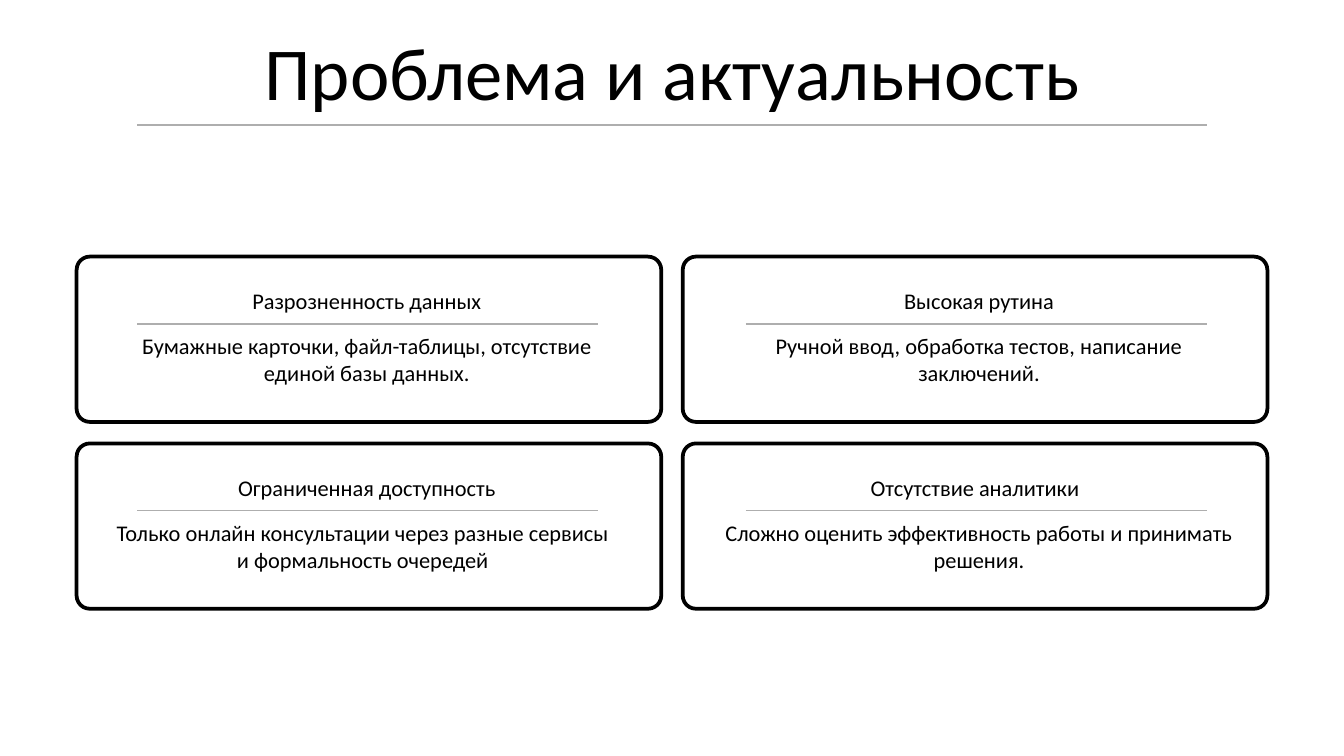
from pptx import Presentation
from pptx.dml.color import RGBColor
from pptx.enum.shapes import MSO_CONNECTOR, MSO_SHAPE
from pptx.enum.text import MSO_ANCHOR, PP_ALIGN
from pptx.oxml.ns import qn
from pptx.util import Inches, Pt
from lxml import etree

FONT = "Calibri"
BLACK, WHITE, GREY = "000000", "FFFFFF", "AEAEAE"
SLIDE_WIDTH = 10

# Card grid
LEFT, TOP = 0.57, 1.91
CARD_WIDTH, CARD_HEIGHT = 4.35, 1.23
COLUMN_STEP, ROW_STEP = 4.51, 1.39
TEXT_INSET = 0.25
RULE_LEFTS, RULE_WIDTH = (1.02, 5.55), 3.43

# Row, column, heading, heading width, body, body width
CARDS = [
    (0, 0, "Разрозненность данных", 3.82,
     "Бумажные карточки, файл-таблицы, отсутствие единой базы данных.", 3.82),
    (1, 0, "Ограниченная доступность", 3.82,
     "Только онлайн консультации через разные сервисы и формальность очередей", 3.76),
    (0, 1, "Высокая рутина", 3.91,
     "Ручной ввод, обработка тестов, написание заключений.", 3.91),
    (1, 1, "Отсутствие аналитики", 3.85,
     "Сложно оценить эффективность работы и принимать решения.", 3.91),
]


def color(value):
    return RGBColor.from_string(value)


def write_text(shape, text, size=12, spacing=1.0, anchor=MSO_ANCHOR.MIDDLE,
               margins=(0, 0)):
    frame = shape.text_frame
    frame.word_wrap = True
    frame.vertical_anchor = anchor
    frame.margin_left = frame.margin_right = Inches(margins[0])
    frame.margin_top = frame.margin_bottom = Inches(margins[1])
    paragraph = frame.paragraphs[0]
    paragraph.alignment = PP_ALIGN.CENTER
    paragraph.line_spacing = spacing
    run = paragraph.add_run()
    run.text = text
    run.font.name = FONT
    run.font.size = Pt(size)
    run.font.color.rgb = color(BLACK)


def add_text(slide, left, top, width, height, text, **text_format):
    box = slide.shapes.add_textbox(Inches(left), Inches(top), Inches(width), Inches(height))
    write_text(box, text, **text_format)


def add_rule(slide, left, top, width):
    rule = slide.shapes.add_connector(
        MSO_CONNECTOR.STRAIGHT, Inches(left), Inches(top), Inches(left + width), Inches(top))
    rule.line.color.rgb = color(GREY)
    rule.line.width = Pt(0.75)
    etree.SubElement(rule.element.spPr, qn("a:effectLst"))


def add_frame(slide, left, top):
    frame = slide.shapes.add_shape(
        MSO_SHAPE.ROUNDED_RECTANGLE, Inches(left), Inches(top),
        Inches(CARD_WIDTH), Inches(CARD_HEIGHT))
    frame.adjustments[0] = 0.08
    frame.shadow.inherit = False
    frame.fill.solid()
    frame.fill.fore_color.rgb = color(WHITE)
    frame.line.color.rgb = color(BLACK)
    frame.line.width = Pt(2)


def add_card(slide, row, column, heading, heading_width, body, body_width):
    left = LEFT + column * COLUMN_STEP
    top = TOP + row * ROW_STEP
    text_left = left + TEXT_INSET
    add_frame(slide, left, top)
    add_text(slide, text_left, top + 0.18, heading_width, 0.24, heading, spacing=1.25)
    add_text(slide, text_left, top + 0.5, body_width, 0.52, body)
    add_rule(slide, RULE_LEFTS[column], top + 0.5, RULE_WIDTH)


def add_title(slide, text):
    title = slide.shapes.title
    title.left, title.top = Inches(1.1), Inches(0)
    title.width, title.height = Inches(7.8), Inches(0.92)
    write_text(title, text, size=40, spacing=0.9, anchor=MSO_ANCHOR.BOTTOM,
               margins=(0.1, 0.05))
    add_rule(slide, 1.02, 0.93, 7.96)


def main():
    # Widescreen 16:9 page
    presentation = Presentation()
    presentation.slide_width = Inches(SLIDE_WIDTH)
    presentation.slide_height = Inches(SLIDE_WIDTH * 9 / 16)
    slide = presentation.slides.add_slide(presentation.slide_layouts[5])

    # Title with its underline
    add_title(slide, "Проблема и актуальность")

    # Problem cards
    for card in CARDS:
        add_card(slide, *card)

    presentation.save("out.pptx")


if __name__ == "__main__":
    main()
